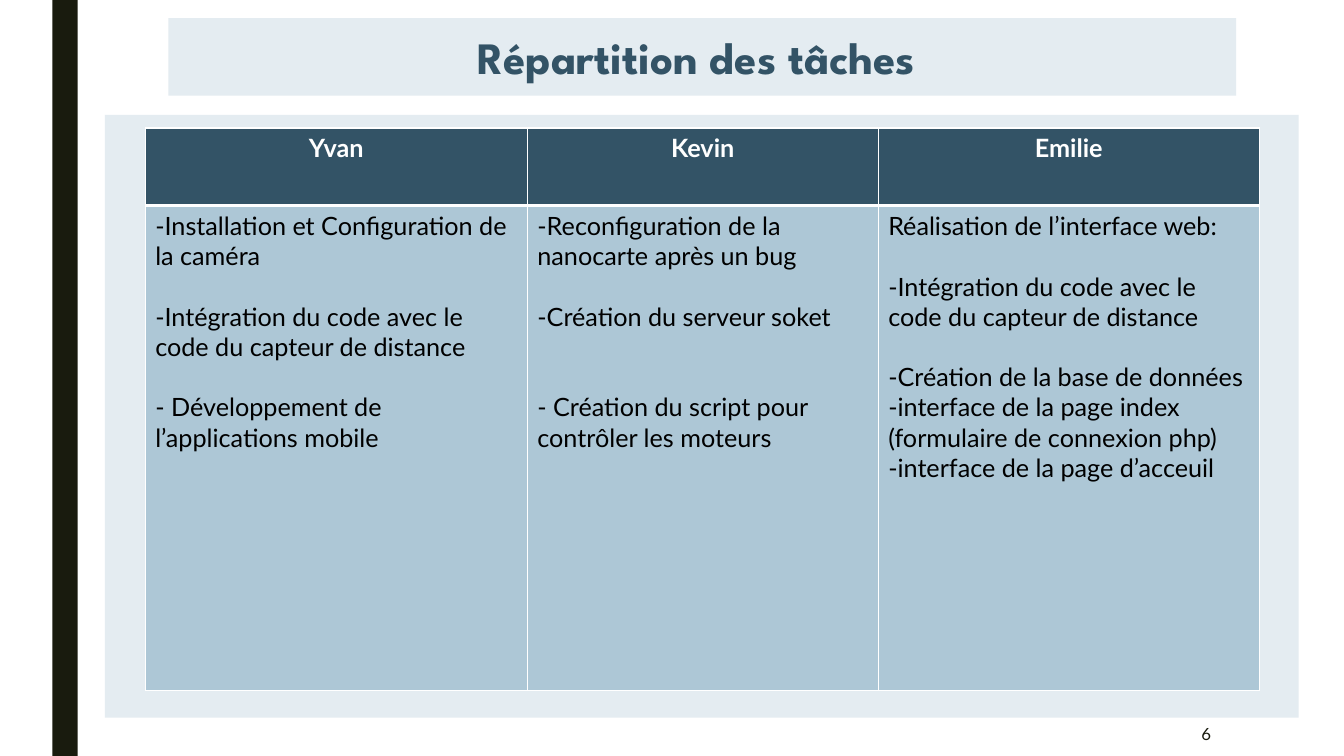
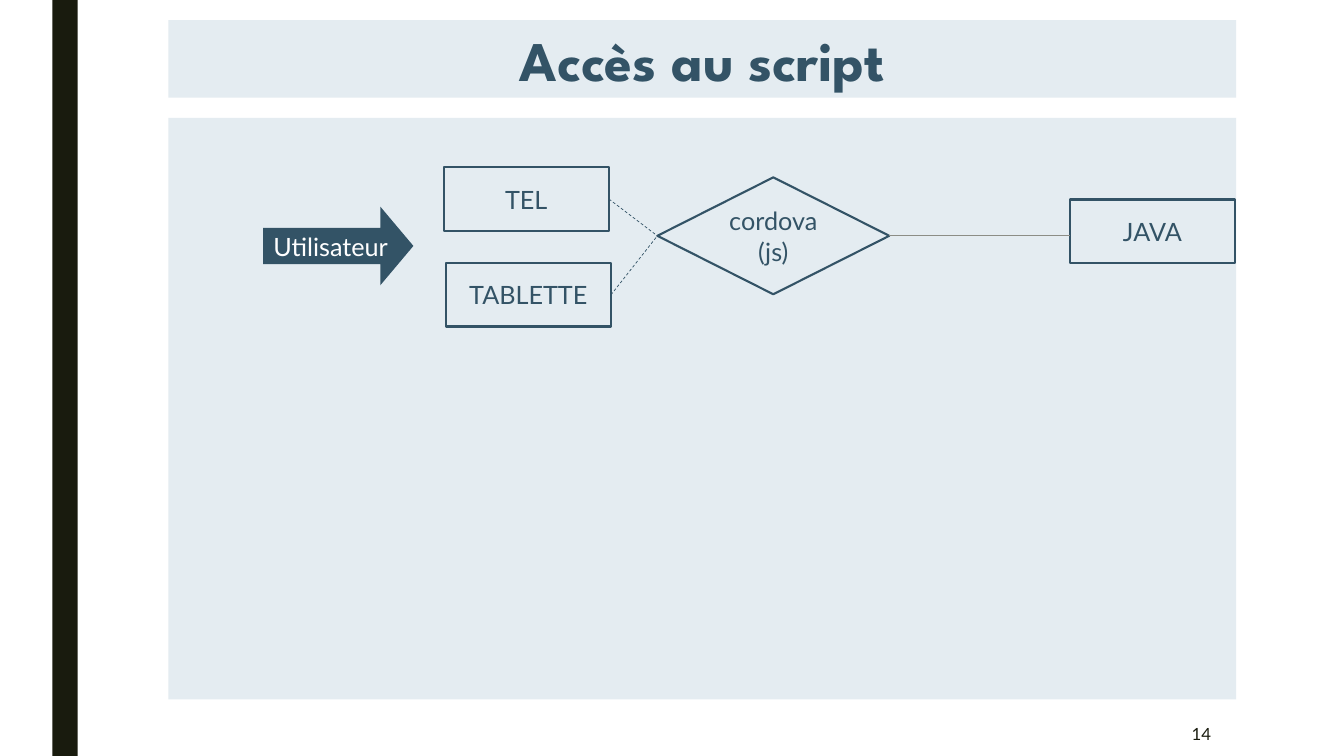
from lxml import etree
from pptx import Presentation
from pptx.dml.color import RGBColor
from pptx.enum.dml import MSO_LINE
from pptx.enum.shapes import MSO_CONNECTOR, MSO_SHAPE
from pptx.enum.text import MSO_ANCHOR, PP_ALIGN
from pptx.oxml.ns import qn
from pptx.util import Inches, Pt

RECT, DIAMOND, ARROW = MSO_SHAPE.RECTANGLE, MSO_SHAPE.DIAMOND, MSO_SHAPE.RIGHT_ARROW
STRAIGHT, DASH = MSO_CONNECTOR.STRAIGHT, MSO_LINE.DASH
LEFT, CENTER, RIGHT = PP_ALIGN.LEFT, PP_ALIGN.CENTER, PP_ALIGN.RIGHT
MIDDLE = MSO_ANCHOR.MIDDLE
LEFT_SIDE, RIGHT_SIDE = 1, 3


class Theme:
    DARK = RGBColor.from_string("191B0E")
    PALE = RGBColor.from_string("E4ECF1")
    BLUE = RGBColor.from_string("335366")
    CELL = RGBColor.from_string("ADC7D6")
    GREY = RGBColor.from_string("8C8D86")
    WHITE = RGBColor.from_string("FFFFFF")
    BLACK = RGBColor.from_string("000000")
    TITLE_FONT, BODY_FONT = "League Spartan", "Lato"
    BODY, NUMBER = 18, 12
    LINE_GAP = 21.6  # one line of body text


def write(tf, text, size, color, align=CENTER, font=Theme.BODY_FONT, bold=False):
    tf.word_wrap = True
    tf.text = text
    for p in tf.paragraphs:
        p.alignment = align
        for r in p.runs:
            r.font.name, r.font.size, r.font.bold = font, Pt(size), bold
            r.font.color.rgb = color


def add_box(slide, kind, at, fill=None, line=None):
    sp = slide.shapes.add_shape(kind, *map(Inches, at))
    sp.shadow.inherit = False
    if fill is None:
        sp.fill.background()
    else:
        sp.fill.solid()
        sp.fill.fore_color.rgb = fill
    if line is None:
        sp.line.fill.background()
    else:
        sp.line.color.rgb = line
        sp.line.width = Pt(1.5)
    sp.text_frame.vertical_anchor = MIDDLE
    return sp


prs = Presentation()
prs.slide_width, prs.slide_height = Inches(13.33), Inches(7.5)

# Title, title size, title top, content panel, slide number
pages = [
    ("Répartition des tâches ", 32, 0.18, (1.04, 1.14, 11.84, 5.98), "6"),
    ("Accès au script", 40, 0.2, (1.67, 1.17, 10.59, 5.77), "14"),
]
slides = []
for title, size, top, panel, number in pages:
    s = prs.slides.add_slide(prs.slide_layouts[6])
    add_box(s, RECT, (0.52, 0, 0.25, 7.5), Theme.DARK)
    tb = s.shapes.add_textbox(Inches(10.36), Inches(7.06), Inches(1.75), Inches(0.44))
    tb.text_frame.vertical_anchor = MIDDLE
    write(tb.text_frame, number, Theme.NUMBER, Theme.DARK, RIGHT)
    band = add_box(s, RECT, (1.67, top, 10.59, 0.77), Theme.PALE)
    write(band.text_frame, title, size, Theme.BLUE, font=Theme.TITLE_FONT, bold=True)
    add_box(s, RECT, panel, Theme.PALE)
    slides.append(s)
tasks_slide, script_slide = slides

# Task table: each task comes with the number of lines left free above it
people = [
    ("Yvan", 3.79, [
        (0, "-Installation et Configuration de la caméra"),
        (1, "-Intégration du code avec le code du capteur de distance"),
        (1, "- Développement de l’applications mobile"),
    ]),
    ("Kevin", 3.48, [
        (0, "-Reconfiguration de la nanocarte après un bug"),
        (1, "-Création du serveur soket"),
        (2, "- Création du script pour contrôler les moteurs"),
    ]),
    ("Emilie", 3.78, [
        (0, "Réalisation de l’interface web:"),
        (1, "-Intégration du code avec le code du capteur de distance"),
        (1, "-Création de la base de données"),
        (0, "-interface de la page index (formulaire de connexion php)"),
        (0, "-interface de la page d’acceuil"),
    ]),
]
table = tasks_slide.shapes.add_table(
    2, len(people), Inches(1.44), Inches(1.27), Inches(11.05), Inches(5.58)).table
table.rows[0].height, table.rows[1].height = Inches(0.77), Inches(4.81)
for col, (name, width, tasks) in enumerate(people):
    table.columns[col].width = Inches(width)
    head, body = table.cell(0, col), table.cell(1, col)
    write(head.text_frame, name, Theme.BODY, Theme.WHITE, bold=True)
    write(body.text_frame, "\n".join(task for _, task in tasks),
          Theme.BODY, Theme.BLACK, LEFT)
    for p, (gap, _) in zip(body.text_frame.paragraphs, tasks):
        p.space_before = Pt(gap * Theme.LINE_GAP)
    for cell, fill, edges in (
        (head, Theme.BLUE, {"L": 1, "R": 1, "T": 1, "B": 3}),
        (body, Theme.CELL, {"L": 1, "R": 1, "T": 3, "B": 1}),
    ):
        tc_pr = cell._tc.get_or_add_tcPr()
        for side, weight in edges.items():
            ln = etree.SubElement(tc_pr, qn(f"a:ln{side}"), w=str(Pt(weight)))
            solid = etree.SubElement(ln, qn("a:solidFill"))
            etree.SubElement(solid, qn("a:srgbClr"), val=str(Theme.WHITE))
        cell.fill.solid()
        cell.fill.fore_color.rgb = fill

# Access diagram
nodes = {}
for text, kind, at in (
    ("TEL", RECT, (4.4, 1.66, 1.64, 0.63)),
    ("TABLETTE", RECT, (4.42, 2.61, 1.64, 0.63)),
    ("cordova\n(js)", DIAMOND, (6.52, 1.76, 2.3, 1.16)),
    ("JAVA", RECT, (10.61, 1.98, 1.64, 0.63)),
):
    nodes[text] = add_box(script_slide, kind, at, line=Theme.BLUE)
    write(nodes[text].text_frame, text, Theme.BODY, Theme.BLUE)
phone, tablet, cordova, java = nodes.values()

user = add_box(script_slide, ARROW, (2.61, 2.05, 1.49, 0.78), Theme.BLUE)
user.adjustments[0], user.adjustments[1] = 0.46, 0.42
write(user.text_frame, "Utilisateur", Theme.BODY, Theme.WHITE)

# The link to JAVA stays level, so its right end is free
level = cordova.top + cordova.height // 2
for start, end, color, dash in (
    (phone, cordova, Theme.BLUE, DASH),
    (tablet, cordova, Theme.BLUE, DASH),
    (cordova, None, Theme.GREY, None),
):
    link = script_slide.shapes.add_connector(STRAIGHT, 0, 0, java.left, level)
    link.begin_connect(start, RIGHT_SIDE)
    if end is not None:
        link.end_connect(end, LEFT_SIDE)
    link.line.color.rgb = color
    link.line.width = Pt(0.5)
    if dash is not None:
        link.line.dash_style = dash
    etree.SubElement(link._element.spPr, qn("a:effectLst"))

prs.save("out.pptx")
